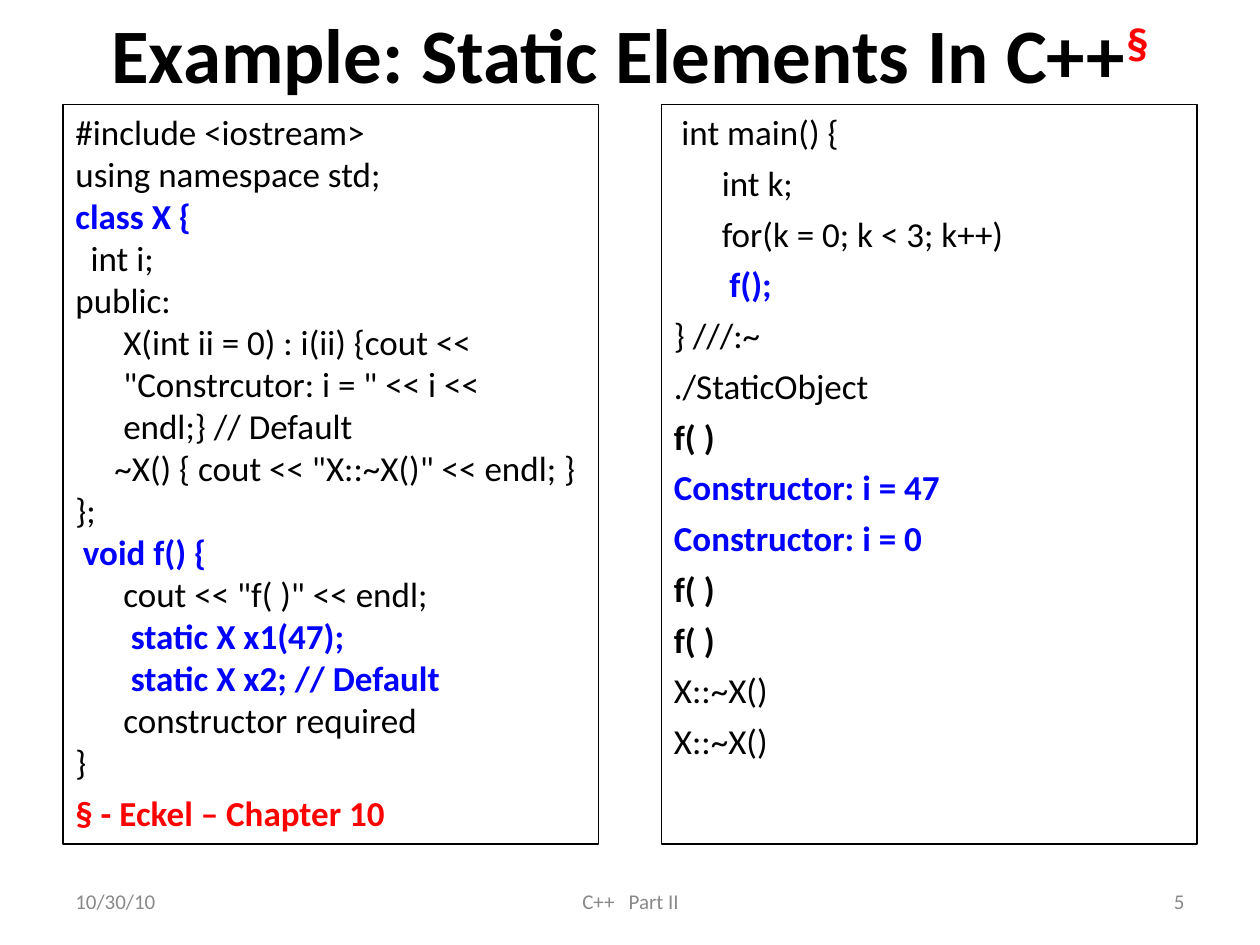
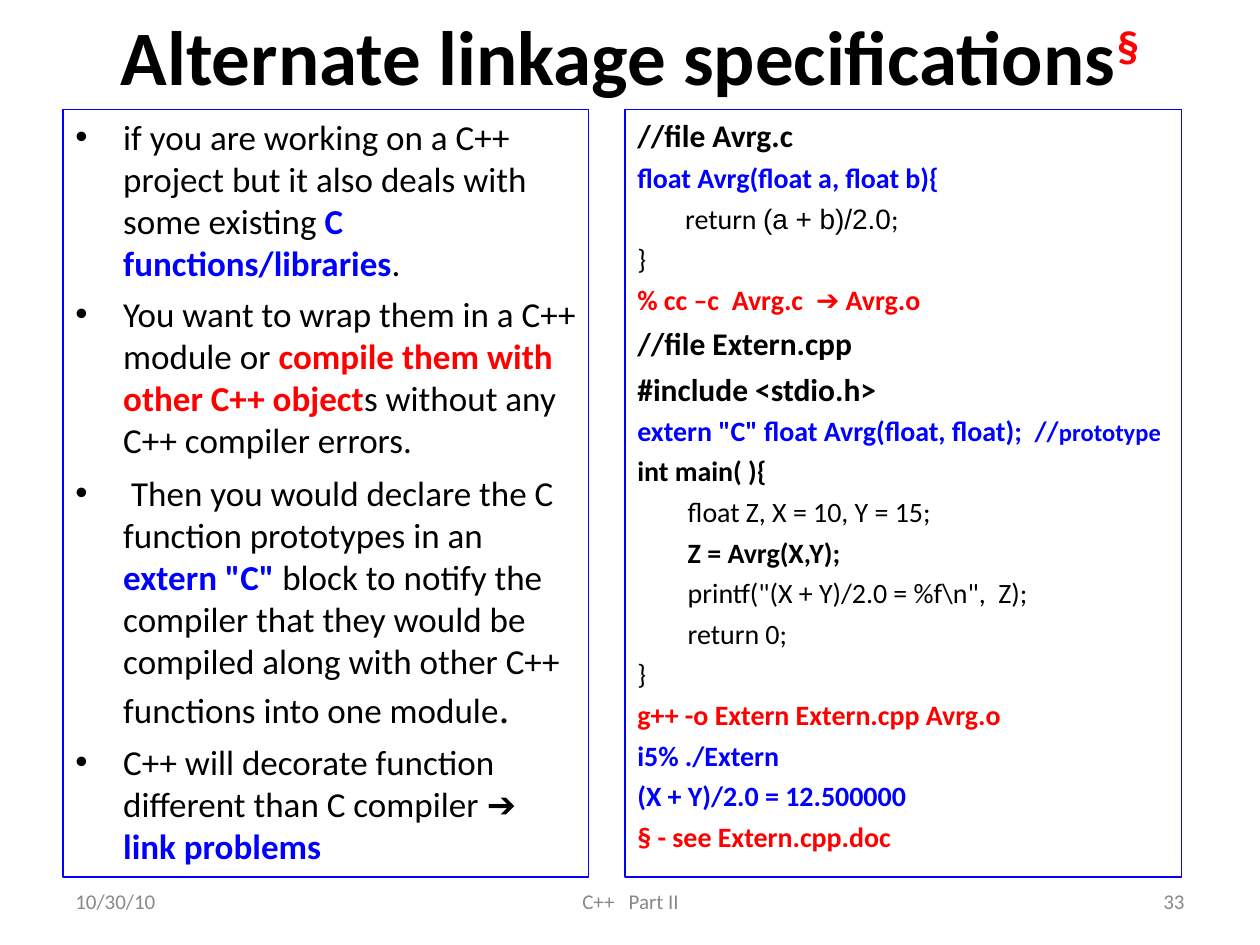
from dataclasses import dataclass
from typing import Optional

from lxml import etree
from pptx import Presentation
from pptx.dml.color import RGBColor
from pptx.enum import shapes, text
from pptx.oxml import ns
from pptx.util import Inches, Pt

# Shared look
BLACK = RGBColor(0x00, 0x00, 0x00)
BLUE = RGBColor(0x00, 0x00, 0xFF)
RED = RGBColor(0xFF, 0x00, 0x00)
GREY = RGBColor(0x89, 0x89, 0x89)
BODY_FONT = "Calibri"
SYMBOL_FONT = "Arial"
LEFT, CENTER, RIGHT = text.PP_ALIGN.LEFT, text.PP_ALIGN.CENTER, text.PP_ALIGN.RIGHT
HANG = 0.38         # where wrapped lines and first-level code start
MAIN_INDENT = 0.4   # statements inside main() on the linkage slide
FOOTER_TOP, FOOTER_HEIGHT = 6.95, 0.4


@dataclass
class Span:
    """A stretch of text that departs from its line's style."""
    words: str
    color: Optional[RGBColor] = None
    bold: Optional[bool] = None
    font: Optional[str] = None
    size: Optional[float] = None
    raised: bool = False


@dataclass
class Line:
    """One paragraph; spans are plain strings or Span objects."""
    spans: list
    color: RGBColor = BLACK
    bold: bool = False
    size: float = 20
    start: float = 0
    before: float = 0
    hang: float = HANG
    bullet: bool = False
    align: text.PP_ALIGN = LEFT


def plain(*spans, **style):
    return Line(list(spans), **style)


def strong(*spans, color=BLACK, **style):
    return Line(list(spans), color=color, bold=True, **style)


def add_bullet(properties):
    font = etree.SubElement(properties, ns.qn("a:buFont"))
    font.set("typeface", SYMBOL_FONT)
    etree.SubElement(properties, ns.qn("a:buChar")).set("char", "•")


def write_line(paragraph, line):
    paragraph.alignment = line.align
    paragraph.space_before = Pt(line.before)
    properties = paragraph._p.get_or_add_pPr()
    properties.set("marL", str(Inches(line.hang)))
    properties.set("indent", str(Inches(line.start) - Inches(line.hang)))
    if line.bullet:
        add_bullet(properties)
    paragraph.font.name = BODY_FONT
    paragraph.font.size = Pt(line.size)
    paragraph.font.bold = line.bold
    paragraph.font.color.rgb = line.color

    for span in line.spans:
        if isinstance(span, str):
            span = Span(span)
        run = paragraph.add_run()
        run.text = span.words
        if span.color is not None:
            run.font.color.rgb = span.color
        if span.bold is not None:
            run.font.bold = span.bold
        if span.font:
            run.font.name = span.font
        if span.size:
            run.font.size = Pt(span.size)
        if span.raised:
            run._r.get_or_add_rPr().set("baseline", "30000")


def write_lines(frame, lines, anchor):
    frame.word_wrap = True
    frame.vertical_anchor = anchor
    for number, line in enumerate(lines):
        paragraph = frame.add_paragraph() if number else frame.paragraphs[0]
        write_line(paragraph, line)


def add_label(slide, left, top, width, height, line):
    box = slide.shapes.add_textbox(
        Inches(left), Inches(top), Inches(width), Inches(height))
    write_lines(box.text_frame, [line], text.MSO_ANCHOR.MIDDLE)


def add_title(slide, words, height):
    title = strong(words, Span("§", RED, raised=True),
                   size=44, hang=0, align=CENTER)
    add_label(slide, 0.5, 0, 9, height, title)


def add_footer(slide, number):
    for left, width, words, align in (
            (0.5, 2.33, "10/30/10", LEFT),
            (3.42, 3.17, "C++   Part II", CENTER),
            (7.17, 2.33, str(number), RIGHT)):
        add_label(slide, left, FOOTER_TOP, width, FOOTER_HEIGHT,
                  plain(words, color=GREY, size=12, hang=0, align=align))


def add_panel(slide, left, top, width, height, border, lines):
    panel = slide.shapes.add_shape(
        shapes.MSO_SHAPE.RECTANGLE,
        Inches(left), Inches(top), Inches(width), Inches(height))
    panel.shadow.inherit = False
    panel.fill.background()
    panel.line.color.rgb = border
    panel.line.width = Pt(0.74)
    write_lines(panel.text_frame, lines, text.MSO_ANCHOR.TOP)


def add_slide(deck, title, title_height, number):
    slide = deck.slides.add_slide(deck.slide_layouts[6])
    add_title(slide, title, title_height)
    add_footer(slide, number)
    return slide


def build_static_elements(deck):
    top, width, height = 0.83, 4.25, 5.87
    slide = add_slide(deck, "Example: Static Elements In C++", top, 5)

    # Class with static objects
    class_code = [
        plain("#include <iostream>"),
        plain("using namespace std;"),
        strong("class X {", color=BLUE),
        plain("int i;", start=0.12),
        plain("public:"),
        plain('X(int ii = 0) : i(ii) {cout << "Constrcutor: i = " << i << '
              "endl;} // Default", start=HANG),
        plain('~X() { cout << "X::~X()" << endl; }', start=0.31),
        plain("};"),
        strong("void f() {", color=BLUE, start=0.06),
        plain('cout << "f( )" << endl;', start=HANG),
        strong("static X x1(47);", color=BLUE, start=0.44),
        strong("static X x2; // Default ",
               Span("constructor required", BLACK, False),
               color=BLUE, start=0.44),
        plain("}"),
        strong("§ - Eckel – Chapter 10", color=RED, before=5),
    ]
    add_panel(slide, 0.5, top, width, height, BLACK, class_code)

    # Main program and its output
    main_and_output = [
        plain("int main() {", start=0.06),
        plain("int k;", start=HANG),
        plain("for(k = 0; k < 3; k++)", start=HANG),
        strong("f();", color=BLUE, start=0.44),
        plain("} ///:~"),
        plain("./StaticObject"),
        strong("f( )"),
        strong("Constructor: i = 47", color=BLUE),
        strong("Constructor: i = 0", color=BLUE),
        strong("f( )"),
        strong("f( )"),
        plain("X::~X()"),
        plain("X::~X()"),
    ]
    for line in main_and_output:
        line.before = 5
    add_panel(slide, 5.25, top, width, height, BLACK, main_and_output)


def build_linkage(deck):
    top, height = 0.87, 6.09
    slide = add_slide(deck, "Alternate linkage specifications", top, 33)

    # Reasons for alternate linkage
    reasons = [
        plain("if you are working on a C++ project but it also deals with "
              "some existing ",
              Span("C functions/libraries", BLUE, True), "."),
        plain("You want to wrap them in a C++ module or ",
              Span("compile them with other C++ object", RED, True),
              "s without any C++ compiler errors."),
        plain(" Then you would declare the C function prototypes in an ",
              Span('extern "C"', BLUE, True),
              " block to notify the compiler that they would be compiled "
              "along with other C++ functions into one module",
              Span(".", size=24)),
        plain("C++ will decorate function different than C compiler ",
              Span("➔ ", font=SYMBOL_FONT), Span("link problems", BLUE, True)),
    ]
    for reason in reasons:
        reason.bullet = True
        reason.before = 5
    reasons[2].before = 6
    add_panel(slide, 0.5, top, 4.17, height, BLUE, reasons)

    # Two source files, the build and the output
    heading = dict(size=18, before=4.5)
    code = dict(size=16, before=4)
    inner = dict(code, start=MAIN_INDENT)
    listing = [
        strong("//file Avrg.c", **heading),
        strong("float Avrg(float a, float b){", color=BLUE, **code),
        plain("return ", Span("(a + b)/2.0", font=SYMBOL_FONT), ";",
              start=HANG, **code),
        plain("}", **code),
        strong("% cc –c  Avrg.c  ", Span("➔", font=SYMBOL_FONT), " Avrg.o",
               color=RED, **code),
        strong("//file Extern.cpp", **heading),
        strong("#include <stdio.h>", **heading),
        strong('extern "C" float Avrg(float, float);  //',
               Span("prototype", size=14), color=BLUE, size=16, before=3.5),
        strong("int main( ){", **code),
        plain("float Z, X = 10, Y = 15;", **inner),
        strong("Z = Avrg(X,Y);", **inner),
        plain('printf("(X + Y)/2.0 = %f\\n",  Z);', **inner),
        plain("return 0;", **inner),
        plain("}", **code),
        strong("g++ -o Extern Extern.cpp Avrg.o", color=RED, **code),
        strong("i5% ./Extern", color=BLUE, **code),
        strong("(X + Y)/2.0 = 12.500000", color=BLUE, **code),
        strong("§ - see Extern.cpp.doc", color=RED, **code),
    ]
    add_panel(slide, 4.96, top, 4.42, height, BLUE, listing)


def main():
    deck = Presentation()
    deck.slide_width = Inches(10)
    deck.slide_height = Inches(7.5)
    build_static_elements(deck)
    build_linkage(deck)
    deck.save("out.pptx")


main()
